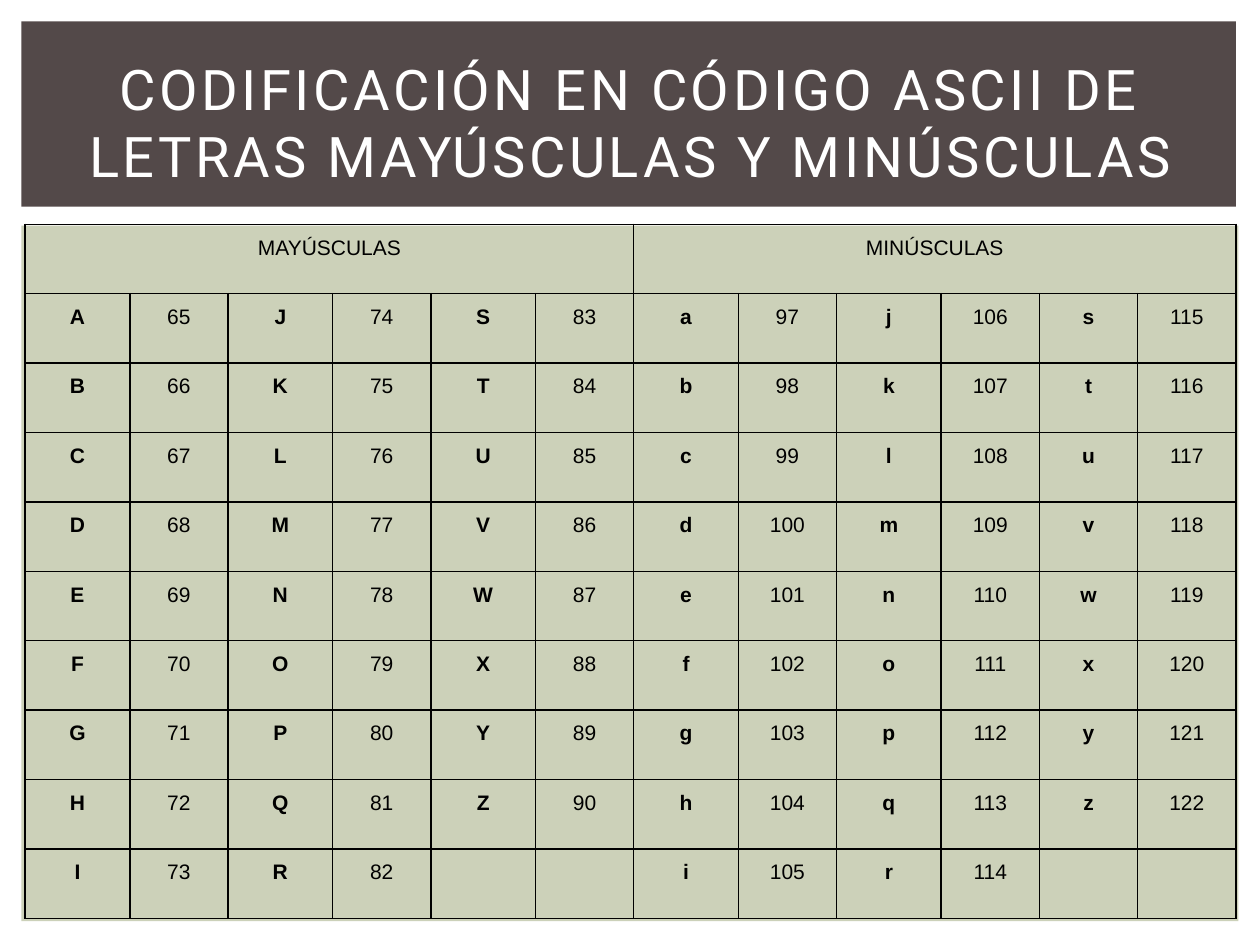
from dataclasses import dataclass

from lxml import etree
from pptx import Presentation
from pptx import util as u
from pptx.dml import color
from pptx.enum import shapes, text
from pptx.oxml import ns


@dataclass(frozen=True)
class Theme:
    panel: str = "CCD1B9"
    band: str = "534949"
    ink: str = "000000"
    white: str = "FFFFFF"
    head: str = "Roboto"
    body: str = "Arial"
    big: int = 32
    small: int = 12
    track: int = 200  # hundredths of a point


@dataclass(frozen=True)
class Box:
    left: float
    top: float
    width: float
    height: float

    def emu(self) -> list:
        return [u.Inches(n) for n in (self.left, self.top, self.width, self.height)]


@dataclass(frozen=True)
class Group:
    title: str
    first: str
    last: str
    col: int


THEME = Theme()
TITLE = "CODIFICACIÓN EN CÓDIGO ASCII DE LETRAS MAYÚSCULAS Y MINÚSCULAS"
GROUPS = (Group("MAYÚSCULAS", "A", "Z", 0), Group("MINÚSCULAS", "a", "z", 6))
PAIRS, DEPTH = 3, 9  # letter/code column pairs per group, letters per column
LETTER, CODE = 0.83, 0.78
WIDTHS = [LETTER, CODE] * 5 + [CODE, CODE]
GRID = Box(0.2, 1.78, sum(WIDTHS), 5.51)


def style(item, values: dict) -> None:
    for name, value in values.items():
        setattr(item, name, value)


def write(para, words: str, face: str, size: int, tint: str, bold: bool = False):
    para.alignment = text.PP_ALIGN.CENTER
    run = para.add_run()
    run.text = words
    style(run.font, {"name": face, "size": u.Pt(size), "bold": bold})
    run.font.color.rgb = color.RGBColor.from_string(tint)
    return run


def draw_rect(slide, box: Box, fill: str) -> None:
    rect = slide.shapes.add_shape(shapes.MSO_SHAPE.RECTANGLE, *box.emu())
    rect.shadow.inherit = False
    rect.fill.solid()
    rect.fill.fore_color.rgb = color.RGBColor.from_string(fill)
    rect.line.fill.background()


def draw_title(slide, box: Box) -> None:
    frame = slide.shapes.add_textbox(*box.emu()).text_frame
    style(frame, {"word_wrap": True, "vertical_anchor": text.MSO_ANCHOR.MIDDLE})
    run = write(frame.paragraphs[0], TITLE, THEME.head, THEME.big, THEME.white)
    run.font._element.set("spc", str(THEME.track))


def rule_cell(cell) -> None:
    """Give a clear cell a 1 pt line on each side."""
    props = cell._tc.get_or_add_tcPr()
    for side in ("lnL", "lnR", "lnT", "lnB"):
        line = etree.SubElement(props, ns.qn(f"a:{side}"), w=str(u.Pt(1)))
        fill = etree.SubElement(line, ns.qn("a:solidFill"))
        etree.SubElement(fill, ns.qn("a:srgbClr"), val=THEME.ink)
    cell.fill.background()
    edge = u.Inches(0.07)
    style(cell, {"margin_left": edge, "margin_right": edge,
                 "margin_top": 0, "margin_bottom": 0})


def fill_cell(cell, words: str, bold: bool = False) -> None:
    para = cell.text_frame.paragraphs[0]
    para.line_spacing = 1.5
    write(para, words, THEME.body, THEME.small, THEME.ink, bold)


def fill_group(table, group: Group) -> None:
    head = table.cell(0, group.col)
    head.merge(table.cell(0, group.col + 2 * PAIRS - 1))
    fill_cell(head, group.title)
    start = ord(group.first)
    for code in range(start, ord(group.last) + 1):
        pair, row = divmod(code - start, DEPTH)
        col = group.col + 2 * pair
        fill_cell(table.cell(row + 1, col), chr(code), bold=True)
        fill_cell(table.cell(row + 1, col + 1), str(code))


def draw_table(slide) -> None:
    rows = DEPTH + 1
    table = slide.shapes.add_table(rows, len(WIDTHS), *GRID.emu()).table
    style(table, {"first_row": False, "horz_banding": False})
    for col, width in zip(table.columns, WIDTHS):
        col.width = u.Inches(width)
    for row in table.rows:
        row.height = u.Inches(GRID.height / rows)
    for cell in table.iter_cells():
        rule_cell(cell)
    for group in GROUPS:
        fill_group(table, group)


def main() -> None:
    deck = Presentation()
    style(deck, {"slide_width": u.Inches(10), "slide_height": u.Inches(7.5)})
    slide = deck.slides.add_slide(deck.slide_layouts[6])

    # Backdrop
    draw_rect(slide, Box(0.17, 1.79, 9.66, 5.52), THEME.panel)
    draw_rect(slide, Box(0.17, 0.17, 9.64, 1.47), THEME.band)

    # Code table and heading
    draw_table(slide)
    draw_title(slide, Box(0.42, 0.39, 9.17, 1.15))

    deck.save("out.pptx")


if __name__ == "__main__":
    main()
